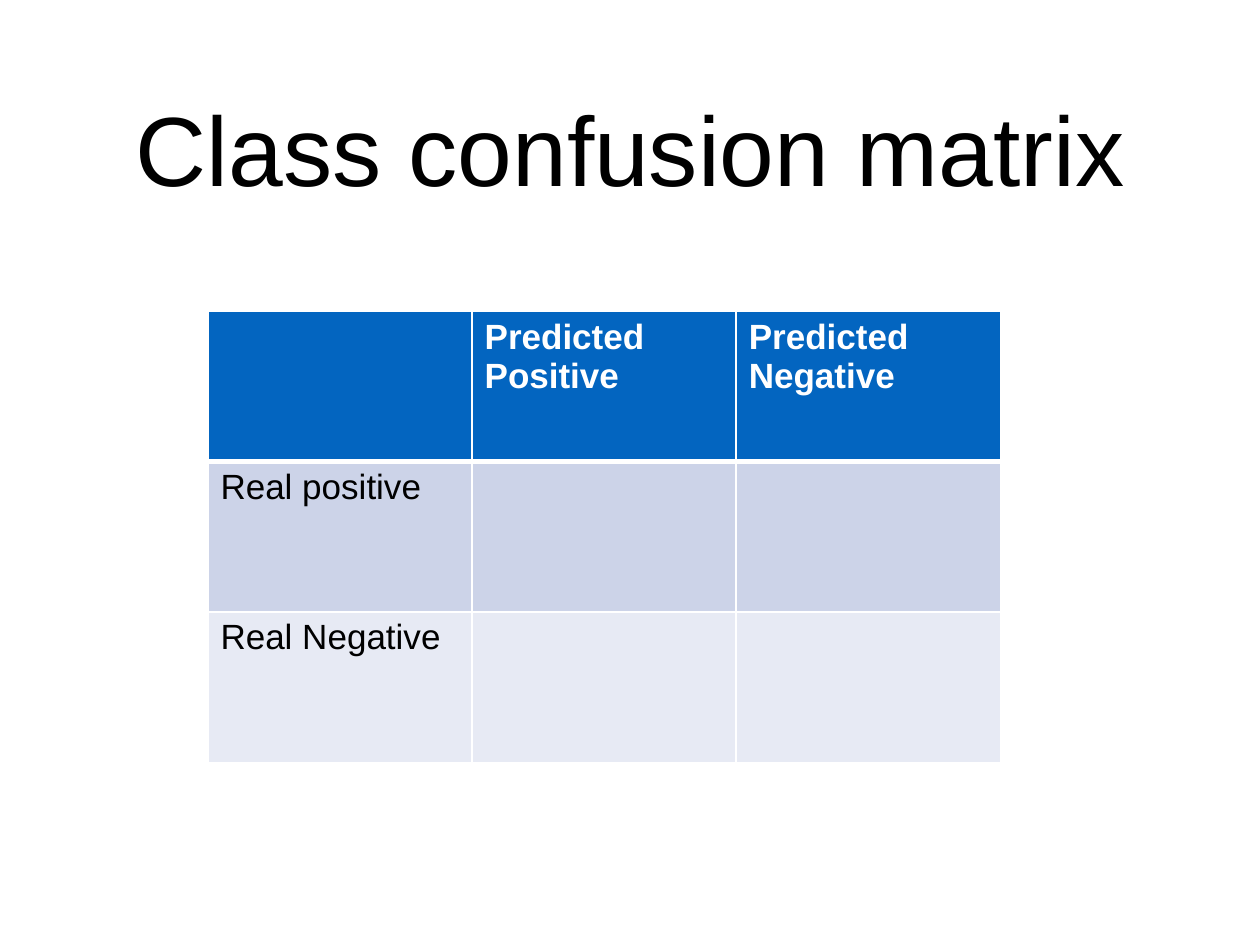
from dataclasses import dataclass

from lxml.etree import SubElement
from pptx import Presentation
from pptx.dml.color import RGBColor
from pptx.enum.text import MSO_ANCHOR, PP_ALIGN
from pptx.oxml.ns import qn
from pptx.util import Inches, Pt

HUES = {
    "black": "000000",
    "white": "FFFFFF",
    "head": "0365C0",
    "dark": "CCD3E8",
    "light": "E7EAF4",
}


@dataclass
class Band:
    texts: tuple[str, str, str]
    fill: str
    color: str
    bold: bool = False
    top: float = 1
    base: float = 1


BANDS = [
    Band(("", "Predicted Positive", "Predicted Negative"), "head", "white", bold=True, base=3),
    Band(("Real positive", "", ""), "dark", "black", top=3),
    Band(("Real Negative", "", ""), "light", "black"),
]
WIDTH, HEIGHT = 6.29, 3.58


def write(frame, text: str, *, size: float, color: str, bold: bool = False,
          align: PP_ALIGN = PP_ALIGN.LEFT) -> None:
    para = frame.paragraphs[0]
    para.alignment = align
    font = para.font
    if text:
        run = para.add_run()
        run.text = text
        font = run.font
    font.name = "Arial"
    font.size = Pt(size)
    font.bold = bold
    font.color.rgb = RGBColor.from_string(HUES[color])


def edge(cell, side: str, width: float) -> None:
    props = cell._tc.get_or_add_tcPr()
    line = SubElement(props, qn(f"a:ln{side}"), w=str(Pt(width)))
    fill = SubElement(line, qn("a:solidFill"))
    SubElement(fill, qn("a:srgbClr"), val=HUES["white"])


def draw_band(row, band: Band) -> None:
    row.height = Inches(HEIGHT / len(BANDS))
    for cell, text in zip(row.cells, band.texts):
        for side, width in zip("LRTB", (1, 1, band.top, band.base)):
            edge(cell, side, width)
        cell.fill.solid()
        cell.fill.fore_color.rgb = RGBColor.from_string(HUES[band.fill])
        write(cell.text_frame, text, size=20, color=band.color, bold=band.bold)


def draw_title(title) -> None:
    title.left, title.top = Inches(0.73), Inches(0.34)
    title.width, title.height = Inches(8.54), Inches(1.66)
    frame = title.text_frame
    frame.word_wrap = True
    frame.vertical_anchor = MSO_ANCHOR.MIDDLE
    frame.margin_left = frame.margin_right = Inches(0.06)
    frame.margin_top = frame.margin_bottom = Inches(0.06)
    write(frame, "Class confusion matrix", size=56.2, color="black", align=PP_ALIGN.CENTER)


def main() -> None:
    deck = Presentation()
    deck.slide_width, deck.slide_height = Inches(10), Inches(7.5)
    slide = deck.slides.add_slide(deck.slide_layouts[5])
    draw_title(slide.shapes.title)
    grid = slide.shapes.add_table(
        len(BANDS), 3, Inches(1.65), Inches(2.47), Inches(WIDTH), Inches(HEIGHT)
    ).table
    for row, band in zip(grid.rows, BANDS):
        draw_band(row, band)
    deck.save("out.pptx")


if __name__ == "__main__":
    main()
